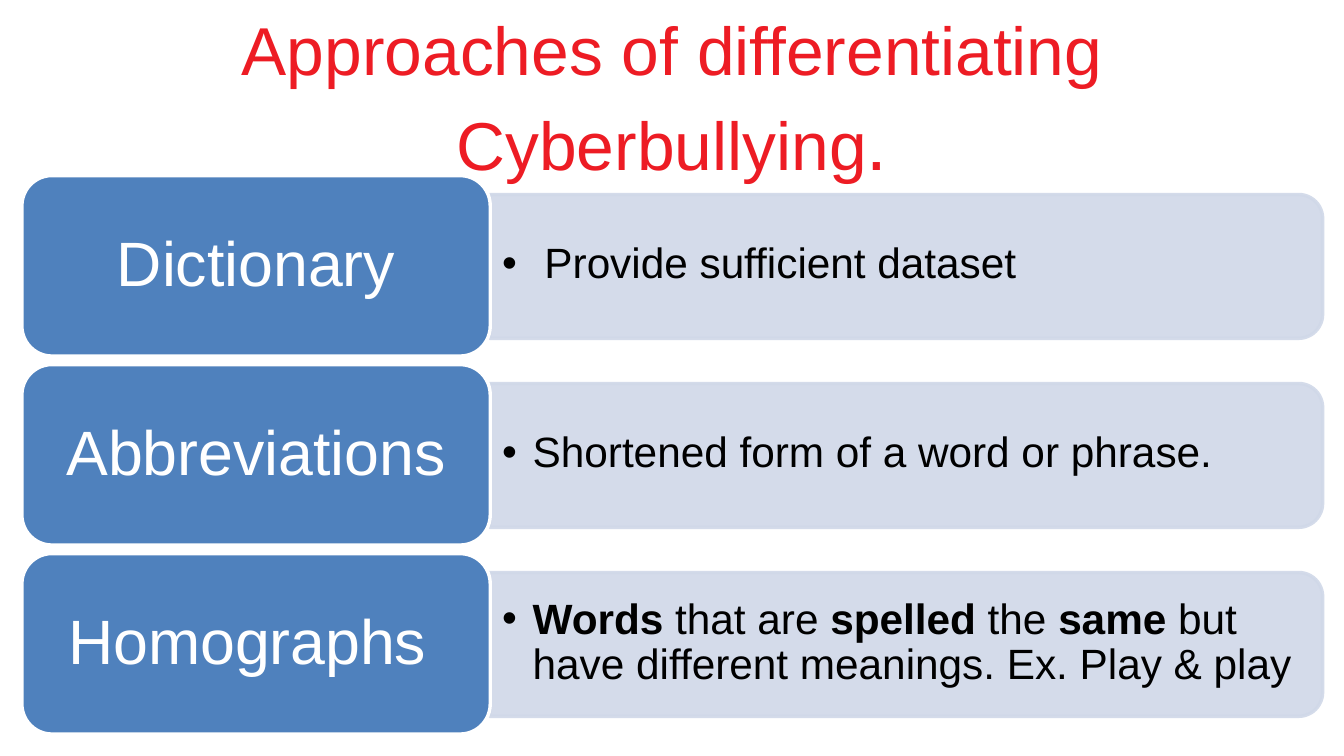
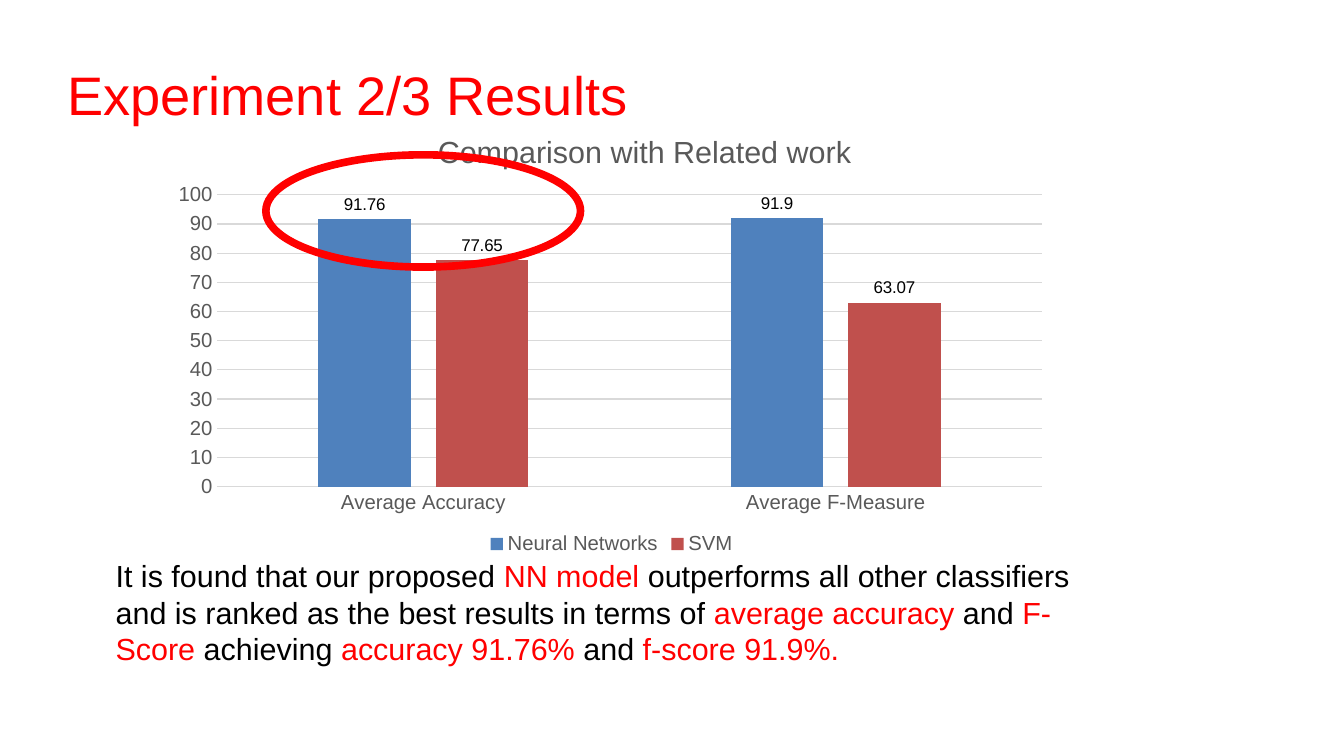
from dataclasses import dataclass
from typing import NamedTuple

from lxml import etree
from pptx import Presentation
from pptx import util as u
from pptx.chart import data as chart_data
from pptx.dml.color import RGBColor
from pptx.enum import chart as ch, shapes, text
from pptx.oxml.ns import qn

PX = 9144
FONT = "Arial"
COLORS = {
    "title": "ED1C24",
    "red": "FF0000",
    "black": "000000",
    "white": "FFFFFF",
    "blue": "4F81BD",
    "brick": "C0504D",
    "band": "D0D8E8",
    "grey": "595959",
    "grid": "D9D9D9",
}


class Area(NamedTuple):
    left: int
    top: int
    width: int
    height: int

    def emu(self) -> list[int]:
        return [u.Emu(side * PX) for side in self]


class Span(NamedTuple):
    text: str
    color: str = "black"
    size: int = 18
    bold: bool = False


@dataclass(frozen=True)
class Approach:
    name: str
    details: list[Span]


@dataclass(frozen=True)
class Series:
    name: str
    values: tuple[float, ...]
    color: str
    number_format: str


SLIDE_SIZE = (1102, 620)
TITLE = Area(55, 25, 992, 104)
LABEL = Area(18, 144, 384, 148)
BAND = Area(402, 159, 683, 118)
DETAIL = Area(402, 164, 677, 107)
ROW_PITCH = 155

APPROACHES = [
    Approach("Dictionary", [Span(" Provide sufficient dataset", size=25)]),
    Approach("Abbreviations", [Span("Shortened form of a word or phrase.", size=25)]),
    Approach("Homographs ", [
        Span("Words", size=25, bold=True),
        Span(" that are ", size=25),
        Span("spelled", size=25, bold=True),
        Span(" the ", size=25),
        Span("same", size=25, bold=True),
        Span(" but have different meanings. Ex. Play & play", size=25),
    ]),
]

CATEGORIES = ("Average Accuracy", "Average F-Measure")
SERIES = [
    Series("Neural Networks", (91.76, 91.9), "blue", "General"),
    Series("SVM", (77.65, 63.07), "brick", "0.00"),
]
FINDINGS = [
    Span("It is found that our proposed "),
    Span("NN model ", "red"),
    Span("outperforms all other classifiers and is ranked as the best results in terms of "),
    Span("average accuracy ", "red"),
    Span("and "),
    Span("F-Score", "red"),
    Span(" achieving "),
    Span("accuracy 91.76% ", "red"),
    Span("and "),
    Span("f-score 91.9%.", "red"),
]


def rgb(name: str) -> RGBColor:
    return RGBColor.from_string(COLORS[name])


def style_font(font, size: int, color: str, bold: bool = False) -> None:
    font.name = FONT
    font.size = u.Pt(size)
    font.color.rgb = rgb(color)
    font.bold = bold


def write(shape, spans: list[Span], align=text.PP_ALIGN.LEFT,
          anchor=text.MSO_ANCHOR.MIDDLE, margins=(10, 5), spacing=1.0):
    frame = shape.text_frame
    frame.word_wrap = True
    frame.vertical_anchor = anchor
    frame.margin_left = frame.margin_right = u.Emu(margins[0] * PX)
    frame.margin_top = frame.margin_bottom = u.Emu(margins[1] * PX)
    para = frame.paragraphs[0]
    para.alignment = align
    para.line_spacing = spacing
    for span in spans:
        run = para.add_run()
        run.text = span.text
        style_font(run.font, span.size, span.color, span.bold)
    return para


def add_text(page, area: Area, spans: list[Span], **options):
    return write(page.shapes.add_textbox(*area.emu()), spans, **options)


def add_bullet(para, indent: int) -> None:
    properties = para._p.get_or_add_pPr()
    properties.set("marL", str(indent * PX))
    properties.set("indent", str(-indent * PX))
    etree.SubElement(properties, qn("a:buFont"), typeface=FONT)
    etree.SubElement(properties, qn("a:buChar"), char="•")


def add_shape(page, kind, area: Area, fill: str | None, line: str, weight: float):
    shape = page.shapes.add_shape(kind, *area.emu())
    shape.shadow.inherit = False
    if fill:
        shape.fill.solid()
        shape.fill.fore_color.rgb = rgb(fill)
    else:
        shape.fill.background()
    shape.line.color.rgb = rgb(line)
    shape.line.width = u.Pt(weight)
    return shape


def set_opacity(shape, percent: int) -> None:
    for color in shape._element.spPr.iter(qn("a:srgbClr")):
        etree.SubElement(color, qn("a:alpha"), val=str(percent * 1000))


def add_approach(page, approach: Approach, row: int) -> None:
    label, band, detail = (
        area._replace(top=area.top + row * ROW_PITCH) for area in (LABEL, BAND, DETAIL)
    )
    shift = (band.width - band.height) // 2
    upright = Area(band.left + shift, band.top - shift, band.height, band.width)
    bar = add_shape(page, shapes.MSO_SHAPE.ROUND_2_SAME_RECTANGLE, upright, "band", "band", 2)
    bar.rotation = 90
    set_opacity(bar, 90)
    add_bullet(add_text(page, detail, approach.details, spacing=0.9), 25)
    tile = add_shape(page, shapes.MSO_SHAPE.ROUNDED_RECTANGLE, label, "blue", "white", 2)
    write(tile, [Span(approach.name, "white", 37)], align=text.PP_ALIGN.CENTER,
          margins=(22, 15), spacing=0.9)


def set_layout(parent, index: int, inner: bool = False, **fractions: float) -> None:
    for old in parent.findall(qn("c:layout")):
        parent.remove(old)
    layout = etree.Element(qn("c:layout"))
    parent.insert(index, layout)
    manual = etree.SubElement(layout, qn("c:manualLayout"))
    if inner:
        etree.SubElement(manual, qn("c:layoutTarget"), val="inner")
    for side in ("x", "y"):
        etree.SubElement(manual, qn(f"c:{side}Mode"), val="edge")
    for side, value in fractions.items():
        etree.SubElement(manual, qn(f"c:{side}"), val=str(value))


def add_comparison_chart(page, area: Area) -> None:
    data = chart_data.CategoryChartData()
    data.categories = CATEGORIES
    for series in SERIES:
        data.add_series(series.name, series.values)
    chart = page.shapes.add_chart(ch.XL_CHART_TYPE.COLUMN_CLUSTERED, *area.emu(), data).chart
    style_font(chart.font, 10, "black")

    chart.has_title = True
    para = chart.chart_title.text_frame.paragraphs[0]
    para.text = "Comparison with Related work"
    style_font(para.runs[0].font, 18, "grey")
    chart.chart_title.include_in_layout = False
    set_layout(chart.element.find(".//" + qn("c:title")), 1, x=0.3, y=0.05)
    set_layout(chart.element.find(".//" + qn("c:plotArea")), 0, True, x=0.06, y=0.2, w=0.92, h=0.64)

    chart.has_legend = True
    chart.legend.position = ch.XL_LEGEND_POSITION.BOTTOM
    chart.legend.include_in_layout = False
    style_font(chart.legend.font, 12, "grey")

    for axis in (chart.category_axis, chart.value_axis):
        axis.major_tick_mark = axis.minor_tick_mark = ch.XL_TICK_MARK.NONE
        style_font(axis.tick_labels.font, 12, "grey")
    values = chart.value_axis
    values.minimum_scale, values.maximum_scale, values.major_unit = 0, 100, 10
    values.format.line.fill.background()
    for line in (chart.category_axis.format.line, values.major_gridlines.format.line):
        line.color.rgb = rgb("grid")
        line.width = u.Pt(0.75)

    plot = chart.plots[0]
    plot.gap_width, plot.overlap, plot.vary_by_categories = 219, -27, False
    for drawn, series in zip(plot.series, SERIES):
        drawn.format.fill.solid()
        drawn.format.fill.fore_color.rgb = rgb(series.color)
        labels = drawn.data_labels
        labels.show_value = True
        labels.position = ch.XL_LABEL_POSITION.OUTSIDE_END
        labels.number_format = series.number_format
        labels.number_format_is_linked = False
        style_font(labels.font, 10, "black")


def build_approaches(page) -> None:
    add_text(page, TITLE, [
        Span("Approaches of differentiating Cyberbullying", "title", 40),
        Span(".", "title", 44),
    ], align=text.PP_ALIGN.CENTER, margins=(0, 0), spacing=1.07)
    for row, approach in enumerate(APPROACHES):
        add_approach(page, approach, row)


def build_results(page) -> None:
    add_text(page, TITLE, [Span("Experiment 2/3 Results", "red", 32)], margins=(0, 0))
    add_comparison_chart(page, Area(134, 85, 735, 374))
    add_text(page, Area(85, 452, 833, 101), FINDINGS, anchor=text.MSO_ANCHOR.TOP)
    add_shape(page, shapes.MSO_SHAPE.OVAL, Area(218, 127, 258, 92), None, "red", 4.5)


def main() -> None:
    deck = Presentation()
    deck.slide_width, deck.slide_height = (u.Emu(side * PX) for side in SLIDE_SIZE)
    for build in (build_approaches, build_results):
        build(deck.slides.add_slide(deck.slide_layouts[6]))
    deck.save("out.pptx")


if __name__ == "__main__":
    main()
